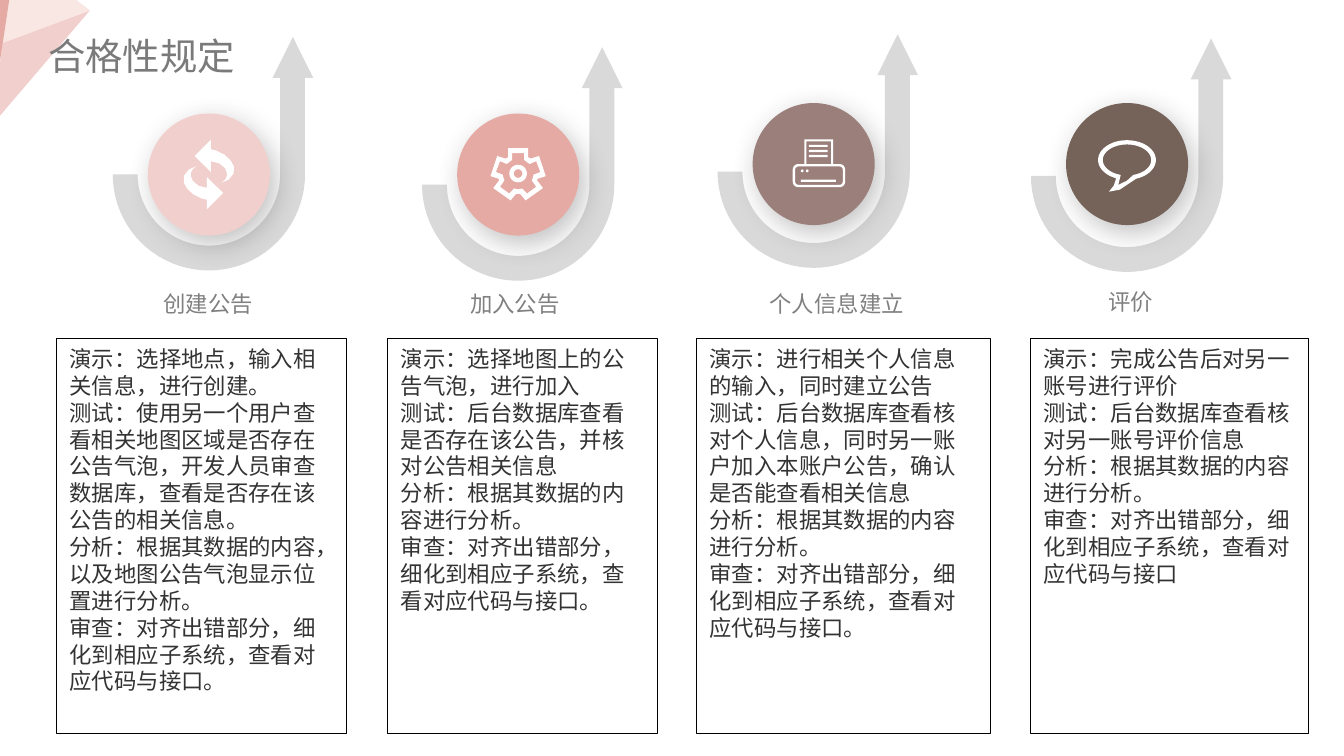
from math import cos, radians, sin

from lxml import etree
from pptx import Presentation
from pptx.dml.color import RGBColor
from pptx.enum import shapes, text
from pptx.oxml import ns
from pptx.util import Pt

FONT = "Noto Sans CJK SC"
WHITE = RGBColor(0xFF, 0xFF, 0xFF)
BLACK = RGBColor(0, 0, 0)
INK = RGBColor(0x33, 0x33, 0x33)
TITLE_GREY = RGBColor(0x7A, 0x7A, 0x7A)
LABEL_GREY = RGBColor(0x80, 0x80, 0x80)
ARROW_GREY = RGBColor(0xD9, 0xD9, 0xD9)
PINK = RGBColor(0xF1, 0xCF, 0xCD)
PALE = RGBColor(0xF9, 0xE7, 0xE3)
ROSE = RGBColor(0xE5, 0xAA, 0xA4)
MAUVE = RGBColor(0x9B, 0x7F, 0x7B)
BROWN = RGBColor(0x75, 0x63, 0x59)

TITLE = "合格性规定"
ANALYSIS = "分析：根据其数据的内容进行分析。"
REVIEW = "审查：对齐出错部分，细化到相应子系统，查看对应代码与接口"

STEPS = [
    {"label": "创建公告", "label_at": (80.6, 151.9, 62.6), "icon": "refresh", "color": PINK,
     "arrow_at": (60.4, 19.8), "circle_middle": 93.5, "box": (30.2, 155.6),
     "lines": ["演示：选择地点，输入相关信息，进行创建。",
               "测试：使用另一个用户查看相关地图区域是否存在公告气泡，开发人员审查数据库，查看是否存在该公告的相关信息。",
               "分析：根据其数据的内容，以及地图公告气泡显示位置进行分析。",
               REVIEW + "。"]},
    {"label": "加入公告", "label_at": (244.8, 151.9, 62.6), "icon": "gear", "color": ROSE,
     "arrow_at": (226.1, 25.3), "circle_middle": 93.5, "box": (207.6, 144.6),
     "lines": ["演示：选择地图上的公告气泡，进行加入",
               "测试：后台数据库查看是否存在该公告，并核对公告相关信息",
               ANALYSIS, REVIEW + "。"]},
    {"label": "个人信息建立", "label_at": (405.2, 151.9, 86.4), "icon": "printer", "color": MAUVE,
     "arrow_at": (384.4, 18.4), "circle_middle": 87.9, "box": (373, 157.7),
     "lines": ["演示：进行相关个人信息的输入，同时建立公告",
               "测试：后台数据库查看核对个人信息，同时另一账户加入本账户公告，确认是否能查看相关信息",
               ANALYSIS, REVIEW + "。"]},
    {"label": "评价", "label_at": (586.6, 150.8, 38.2), "icon": "bubble", "color": BROWN,
     "arrow_at": (552.3, 20.6), "circle_middle": 87.9, "box": (552, 149),
     "lines": ["演示：完成公告后对另一账号进行评价",
               "测试：后台数据库查看核对另一账号评价信息",
               ANALYSIS, REVIEW]},
]
BOX_TOP, BOX_HEIGHT = 181.3, 211.7
CIRCLE = 65.4
ARROW_CENTER, ARROW_MIDDLE = 51.5, 73.6
OUTER_RADIUS, INNER_RADIUS = 51.5, 38.2

CORNER = [
    (PINK, [(48.2, 5.6), (1.4, 23), (0, 34.5), (0, 62)]),
    (PALE, [(48.2, 5.6), (41, 0), (5, 0), (1.4, 23)]),
    (ROSE, [(5, 0), (0, 0), (0, 33)]),
]
REFRESH = [(1.1, -18.6), (-7.6, -9.9), (1.1, -1.3), (1.1, -7.1), (5.5, -6), (8.6, -3.5),
           (9.7, -0.8), (9.7, 0.9), (8.6, 2.9), (6.8, 4.5), (10.8, 2.6), (13.3, -0.6),
           (13.4, -4.4), (11.6, -7.6), (8.4, -10.6), (4, -12.8), (1.1, -13.5)]
GEAR_OUTER = [(5.4, -14.1), (5.4, -9.2), (6.8, -8.5), (11.2, -9.9), (14.8, 0.9), (10.4, 2.3),
              (10.2, 3.2), (13.3, 7.3), (4, 13.9), (1.1, 10.4), (0, 10.4)]
GEAR_INNER = [(3.2, -11.4), (3.2, -7.8), (6.1, -5.6), (9.7, -7.1), (11.9, -1.3), (8.3, 0.1),
              (7.4, 3.3), (9.7, 6.6), (4.8, 10.2), (2.2, 7.5), (0, 8)]
PRINTER_LINES = [(-6.8, 8.4, 18.7)] + [(-2.5, top, 10.1) for top in (-10.3, -7.6, -4.9)]


def arc(center, middle, radius_x, radius_y, start, end, steps=40):
    angles = [radians(start + (end - start) * i / steps) for i in range(steps + 1)]
    return [(center + radius_x * cos(a), middle + radius_y * sin(a)) for a in angles]


def rounded(left, top, right, bottom, radius):
    corners = [(right - radius, bottom - radius), (left + radius, bottom - radius),
               (left + radius, top + radius), (right - radius, top + radius)]
    return [point for i, (x, y) in enumerate(corners)
            for point in arc(x, y, radius, radius, i * 90, i * 90 + 90, 6)]


def mirrored(half):
    return half + [(-x, y) for x, y in reversed(half)]


ICONS = {
    "refresh": [[REFRESH], [[(-x, -y) for x, y in REFRESH]]],
    "gear": [[mirrored(GEAR_OUTER), mirrored(GEAR_INNER),
              arc(0, -0.5, 4.7, 4.7, 0, 360), arc(0, -0.5, 2.3, 2.3, 0, 360)]],
    "printer": [[rounded(-11.2, 0, 16.9, 12.4, 3), rounded(-9.9, 1.3, 15.6, 11.1, 1.7),
                 rounded(-5, -13.2, 10.5, 0, 0), rounded(-3.9, -12.1, 9.4, 0, 0)]],
    "bubble": [[arc(0, -2.2, 15.5, 10.6, 112, 432) + [(-3.9, 13.7), (-9.7, 14.8), (-7.1, 11.6)],
                arc(0, -2.2, 13, 8.3, 105, 435) + [(0, 8.9), (-4.7, 11.2)]]],
}
ARROW = ([(96.5, 0), (85.6, 21.9), (ARROW_CENTER + INNER_RADIUS, 21.9)]
         + arc(ARROW_CENTER, ARROW_MIDDLE, INNER_RADIUS, INNER_RADIUS, 0, 180)
         + arc(ARROW_CENTER, ARROW_MIDDLE, OUTER_RADIUS, OUTER_RADIUS, 180, 0)
         + [(ARROW_CENTER + OUTER_RADIUS, 21.9), (107.4, 21.9)])


def paint(shape, color, line=None):
    shape.shadow.inherit = False
    shape.fill.solid()
    shape.fill.fore_color.rgb = color
    if line is None:
        shape.line.fill.background()
    else:
        shape.line.color.rgb = line
        shape.line.width = Pt(0.75)
    return shape


def add_outline(slide, contours, color, left=0, top=0):
    placed = [[(Pt(left + x), Pt(top + y)) for x, y in contour] for contour in contours]
    builder = slide.shapes.build_freeform(*placed[0][0], scale=1.0)
    for i, contour in enumerate(placed):
        if i:
            builder.move_to(*contour[0])
        builder.add_line_segments(contour[1:], close=True)
    paint(builder.convert_to_shape(), color)


def add_preset(slide, kind, place, color, line=None):
    return paint(slide.shapes.add_shape(kind, *map(Pt, place)), color, line)


def write(shape, lines, size, color, wrap):
    frame = shape.text_frame
    frame.word_wrap = wrap
    frame.vertical_anchor = text.MSO_ANCHOR.TOP
    for i, line in enumerate(lines):
        paragraph = frame.add_paragraph() if i else frame.paragraphs[0]
        paragraph.alignment = text.PP_ALIGN.LEFT
        run = paragraph.add_run()
        run.text = line
        for name, value in {"size": Pt(size), "name": FONT}.items():
            setattr(run.font, name, value)
        run.font.color.rgb = color
        etree.SubElement(run.font._element, ns.qn("a:ea"), typeface=FONT)


def add_label(slide, place, line, size, color):
    write(slide.shapes.add_textbox(*map(Pt, place)), [line], size, color, False)


def add_soft_shadow(shape):
    effects = shape._element.spPr.find(ns.qn("a:effectLst"))
    shadow = etree.SubElement(effects, ns.qn("a:outerShdw"), blurRad=str(Pt(15)),
                              dist=str(Pt(5)), dir=str(55 * 60000), algn="ctr", rotWithShape="0")
    color = etree.SubElement(shadow, ns.qn("a:srgbClr"), val=str(INK))
    etree.SubElement(color, ns.qn("a:alpha"), val="30000")


def add_badge(slide, step):
    center, middle = step["arrow_at"][0] + ARROW_CENTER, step["circle_middle"]
    oval = shapes.MSO_SHAPE.OVAL
    place = (center - CIRCLE / 2, middle - CIRCLE / 2, CIRCLE, CIRCLE)
    add_soft_shadow(add_preset(slide, oval, place, step["color"]))
    for contours in ICONS[step["icon"]]:
        add_outline(slide, contours, WHITE, center, middle)
    if step["icon"] == "printer":
        for x, y, width in PRINTER_LINES:
            add_preset(slide, shapes.MSO_SHAPE.RECTANGLE, (center + x, middle + y, width, 1.2), WHITE)
        for x in (-6.9, -4.2):
            add_preset(slide, oval, (center + x, middle + 2.9, 1.5, 1.5), WHITE)


def main():
    presentation = Presentation()
    presentation.slide_width, presentation.slide_height = Pt(720), Pt(405)
    slide = presentation.slides.add_slide(presentation.slide_layouts[6])
    for step in STEPS:
        add_outline(slide, [ARROW], ARROW_GREY, *step["arrow_at"])
    for color, points in CORNER:
        add_outline(slide, [points], color)
    add_label(slide, (18.7, 14.4, 114.5, 31.7), TITLE, 20, TITLE_GREY)
    for step in STEPS:
        add_badge(slide, step)
        left, width = step["box"]
        box = add_preset(slide, shapes.MSO_SHAPE.RECTANGLE, (left, BOX_TOP, width, BOX_HEIGHT),
                         WHITE, BLACK)
        write(box, step["lines"], 12, INK, True)
        add_label(slide, (*step["label_at"], 21.6), step["label"], 12, LABEL_GREY)
    presentation.save("out.pptx")


if __name__ == "__main__":
    main()
